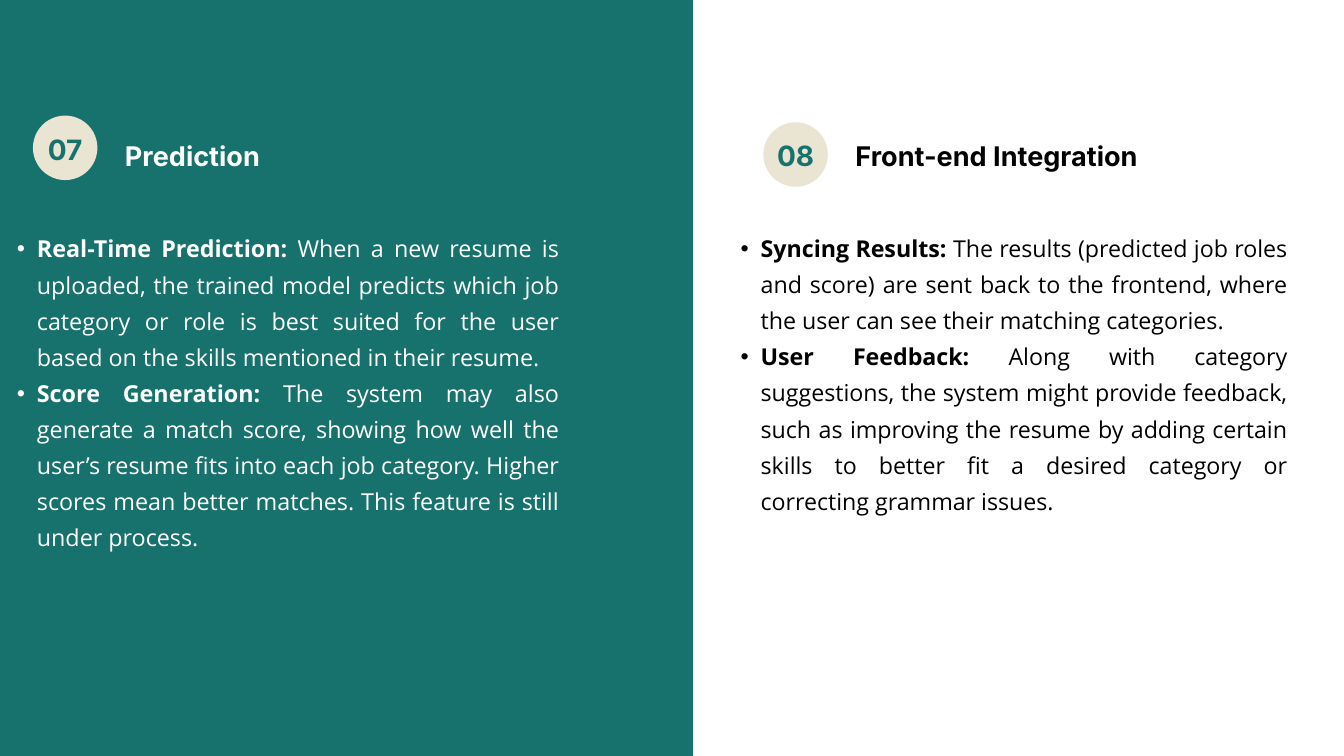
from lxml import etree
from pptx import Presentation
from pptx import util as u
from pptx.dml.color import RGBColor
from pptx.enum import shapes, text
from pptx.oxml import ns

TEAL = RGBColor(0x17, 0x72, 0x6D)
SAND = RGBColor(0xEA, 0xE4, 0xD2)
WHITE = RGBColor(0xFF, 0xFF, 0xFF)
BLACK = RGBColor(0x00, 0x00, 0x00)
HEADING_FONT = "Inter"
BODY_FONT = "Open Sans"
BADGE_SIZE = 0.96


class SlideBuilder:
    """Holds the current slide and draws each kind of element in its style."""

    def __init__(self, slide):
        self.slide = slide

    def shape(self, kind, left, top, width, height, color):
        shape = self.slide.shapes.add_shape(
            kind, u.Inches(left), u.Inches(top), u.Inches(width), u.Inches(height))
        shape.shadow.inherit = False
        shape.fill.solid()
        shape.fill.fore_color.rgb = color
        shape.line.fill.background()

    def frame(self, left, top, width, height, inset=0.0):
        box = self.slide.shapes.add_textbox(
            u.Inches(left), u.Inches(top), u.Inches(width), u.Inches(height))
        frame = box.text_frame
        frame.word_wrap = True
        frame.margin_left = frame.margin_right = u.Inches(inset)
        frame.margin_top = frame.margin_bottom = u.Inches(inset)
        return frame

    def run(self, paragraph, words, font, size, color, bold):
        run = paragraph.add_run()
        run.text = words
        run.font.name = font
        run.font.size = u.Pt(size)
        run.font.color.rgb = color
        run.font.bold = bold

    def badge(self, number, left, top):
        self.shape(shapes.MSO_SHAPE.OVAL, left, top, BADGE_SIZE, BADGE_SIZE, SAND)
        frame = self.frame(left + 0.09, top + 0.03, 0.78, 0.85, inset=0.05)
        frame.vertical_anchor = text.MSO_ANCHOR.MIDDLE
        paragraph = frame.paragraphs[0]
        paragraph.alignment = text.PP_ALIGN.CENTER
        paragraph.line_spacing = u.Pt(42)
        self.run(paragraph, number, HEADING_FONT, 30, TEAL, True)

    def heading(self, words, left, width, color):
        paragraph = self.frame(left, 1.99, width, 0.55).paragraphs[0]
        paragraph.line_spacing = u.Pt(40.6)
        self.run(paragraph, words, HEADING_FONT, 29, color, True)

    def bullets(self, items, left, width, size, spacing, color):
        frame = self.frame(left, 3.37, width, 5.28)
        for index, (label, detail) in enumerate(items):
            paragraph = frame.add_paragraph() if index else frame.paragraphs[0]
            properties = paragraph._p.get_or_add_pPr()
            properties.set("marL", str(u.Inches(0.59)))
            properties.set("indent", str(u.Inches(-0.3)))
            etree.SubElement(properties, ns.qn("a:buFont"), typeface="Arial")
            etree.SubElement(properties, ns.qn("a:buChar"), char="•")
            paragraph.level = 1
            paragraph.alignment = text.PP_ALIGN.JUSTIFY
            paragraph.line_spacing = u.Pt(spacing)
            self.run(paragraph, label, BODY_FONT, size, color, True)
            self.run(paragraph, detail, BODY_FONT, size, color, False)


def main():
    deck = Presentation()
    deck.slide_width, deck.slide_height = u.Inches(20), u.Inches(11.25)
    builder = SlideBuilder(deck.slides.add_slide(deck.slide_layouts[6]))

    # Left panel: prediction
    builder.shape(shapes.MSO_SHAPE.RECTANGLE, -1.25, 0, 11.56, 11.25, TEAL)
    builder.badge("07", 0.49, 1.72)
    builder.heading("Prediction", 1.86, 8.36, WHITE)
    prediction = [
        ("Real-Time Prediction:",
         " When a new resume is uploaded, the trained model predicts which job category "
         "or role is best suited for the user based on the skills mentioned in their resume."),
        ("Score Generation:",
         " The system may also generate a match score, showing how well the user’s resume "
         "fits into each job category. Higher scores mean better matches. "
         "This feature is still under process."),
    ]
    builder.bullets(prediction, -0.04, 8.36, 25, 38.7, WHITE)

    # Right side: front-end integration
    builder.badge("08", 11.36, 1.82)
    builder.heading("Front-end Integration", 12.73, 5.33, BLACK)
    integration = [
        ("Syncing Results: ",
         "The results (predicted job roles and score) are sent back to the frontend, "
         "where the user can see their matching categories."),
        ("User Feedback:",
         " Along with category suggestions, the system might provide feedback, such as "
         "improving the resume by adding certain skills to better fit a desired category "
         "or correcting grammar issues."),
    ]
    builder.bullets(integration, 10.73, 8.43, 24.9, 38.6, BLACK)

    deck.save("out.pptx")


if __name__ == "__main__":
    main()
